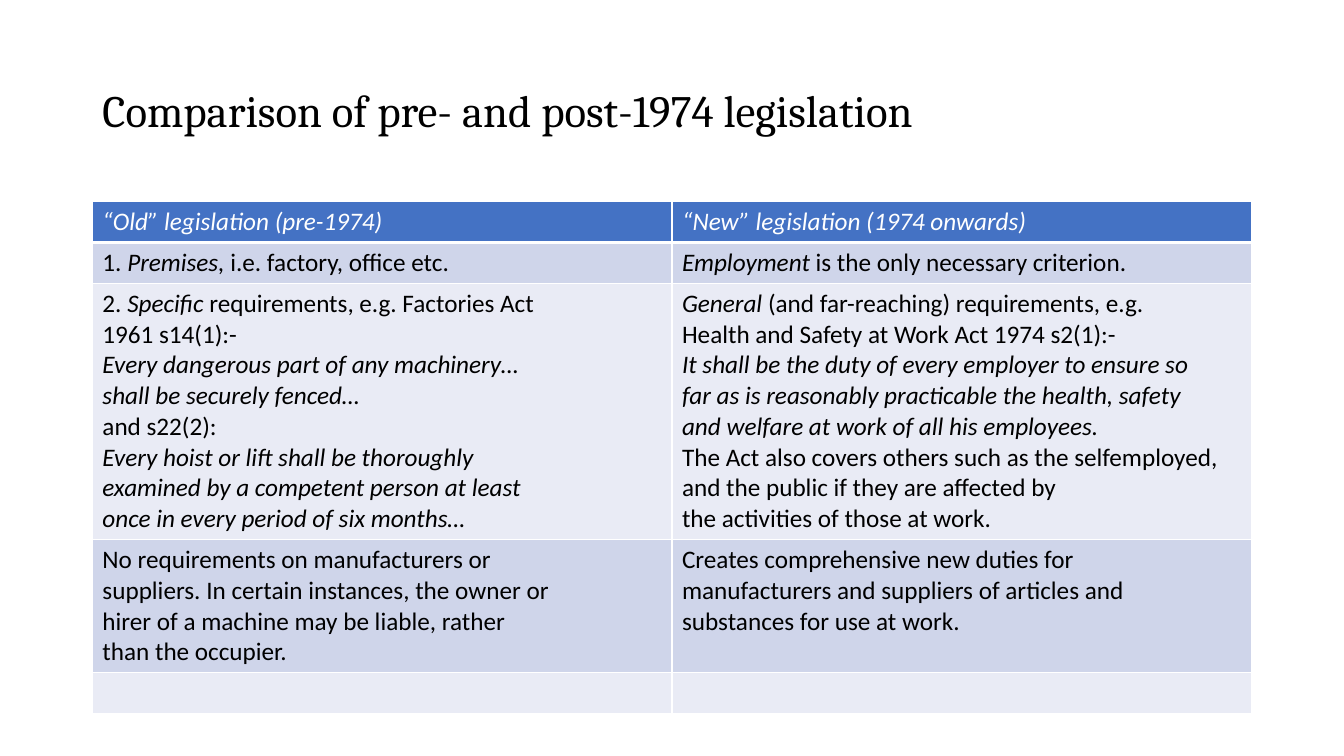
"""Build a slide that compares legislation before and after 1974."""
from dataclasses import dataclass

from lxml import etree
from pptx import Presentation
from pptx.dml.color import RGBColor
from pptx.enum import text as enums
from pptx.oxml import ns
from pptx.util import Pt

BLACK, WHITE = "000000", "FFFFFF"
BLUE, DARK, LIGHT = "4472C4", "CFD5EA", "E9EBF5"
LEFT, WIDTH = 66, 828


@dataclass
class Row:
    """One table row; asterisks in its lines enclose italics."""
    height: float
    fill: str
    old: list[str]
    new: list[str]
    ink: str = BLACK
    top: float = 1
    bottom: float = 1


ROWS = [
    Row(29.2, BLUE, ["*“Old” legislation (pre-1974)*"],
        ["*“New” legislation (1974 onwards)*"], ink=WHITE, bottom=3),
    Row(29.2, DARK, ["1. *Premises, *i.e. factory, office etc."],
        ["*Employment *is the only necessary criterion."], top=3),
    Row(183, LIGHT, [
        "2. *Specific *requirements, e.g. Factories Act",
        "1961 s14(1):-",
        "*Every dangerous part of any machinery…*",
        "*shall be securely fenced…*",
        "and s22(2):",
        "*Every hoist or lift shall be thoroughly*",
        "*examined by a competent person at least*",
        "*once in every period of six months…*",
    ], [
        "*General *(and far-reaching) requirements, e.g.",
        "Health and Safety at Work Act 1974 s2(1):-",
        "*It shall be the duty of every employer to ensure so*",
        "*far as is reasonably practicable the health, safety*",
        "*and welfare at work of all his employees.*",
        "The Act also covers others such as the selfemployed,",
        "and the public if they are affected by",
        "the activities of those at work.",
    ]),
    Row(95, DARK, [
        "No requirements on manufacturers or",
        "suppliers. In certain instances, the owner or",
        "hirer of a machine may be liable, rather",
        "than the occupier.",
    ], [
        "Creates comprehensive new duties for",
        "manufacturers and suppliers of articles and",
        "substances for use at work.",
    ]),
    Row(29.2, LIGHT, [], []),
]


def color(code: str) -> RGBColor:
    """Turn a hex string into a colour."""
    return RGBColor.from_string(code)


def style(font, name: str, size: float, ink: str, slant: bool = False) -> None:
    """Set the look of a font."""
    font.name, font.size, font.italic = name, Pt(size), slant
    font.color.rgb = color(ink)


def write(frame, lines: list[str], ink: str) -> None:
    """Write marked lines, one paragraph each."""
    frame.text = "\n".join(lines).replace("*", "")
    for para, line in zip(frame.paragraphs, lines):
        para.clear()
        for spot, part in enumerate(line.split("*")):
            if part:
                run = para.add_run()
                run.text = part
                style(run.font, "Calibri", 18, ink, spot % 2 == 1)


def border(cell, row: Row) -> None:
    """Draw white lines around a cell."""
    props = cell._tc.get_or_add_tcPr()
    sides = {"L": 1, "R": 1, "T": row.top, "B": row.bottom}
    for spot, (side, width) in enumerate(sides.items()):
        line = etree.Element(ns.qn(f"a:ln{side}"), w=str(Pt(width)))
        fill = etree.SubElement(line, ns.qn("a:solidFill"))
        etree.SubElement(fill, ns.qn("a:srgbClr"), val=WHITE)
        props.insert(spot, line)


def add_title(slide) -> None:
    """Add the slide title."""
    box = slide.shapes.add_textbox(Pt(LEFT), Pt(28.8), Pt(WIDTH), Pt(104.4))
    frame = box.text_frame
    frame.word_wrap = True
    frame.vertical_anchor = enums.MSO_ANCHOR.MIDDLE
    frame.text = "Comparison of pre- and post-1974 legislation"
    para = frame.paragraphs[0]
    para.line_spacing = 0.9
    style(para.runs[0].font, "Cambria", 32, BLACK)


def add_grid(slide) -> None:
    """Add the table of old and new legislation."""
    total = sum(row.height for row in ROWS)
    grid = slide.shapes.add_table(
        len(ROWS), 2, Pt(LEFT), Pt(144), Pt(WIDTH), Pt(total)).table
    for line, row in zip(grid.rows, ROWS):
        line.height = Pt(row.height)
        for cell, lines in zip(line.cells, (row.old, row.new)):
            cell.fill.solid()
            cell.fill.fore_color.rgb = color(row.fill)
            border(cell, row)
            write(cell.text_frame, lines, row.ink)


def main() -> None:
    """Build and save the slide."""
    deck = Presentation()
    deck.slide_width, deck.slide_height = Pt(960), Pt(540)
    slide = deck.slides.add_slide(deck.slide_layouts[6])
    add_title(slide)
    add_grid(slide)
    deck.save("out.pptx")


if __name__ == "__main__":
    main()
